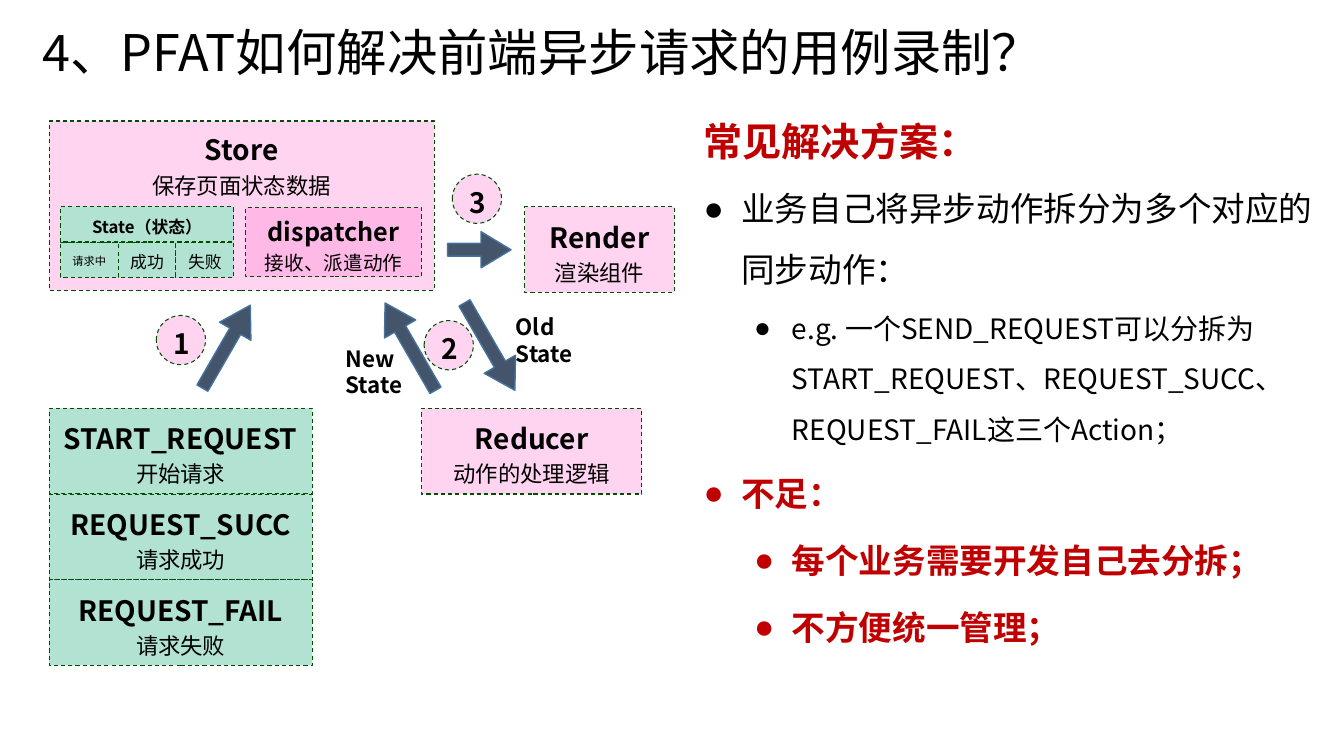
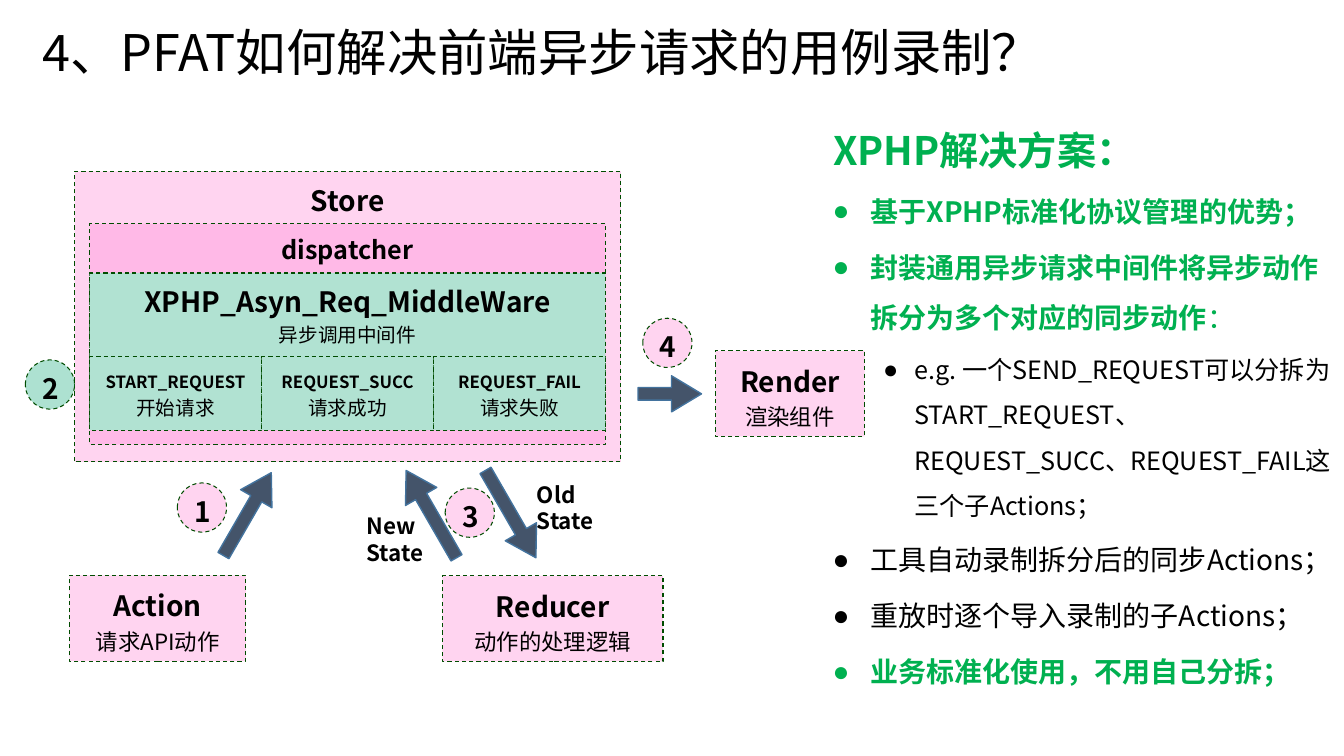
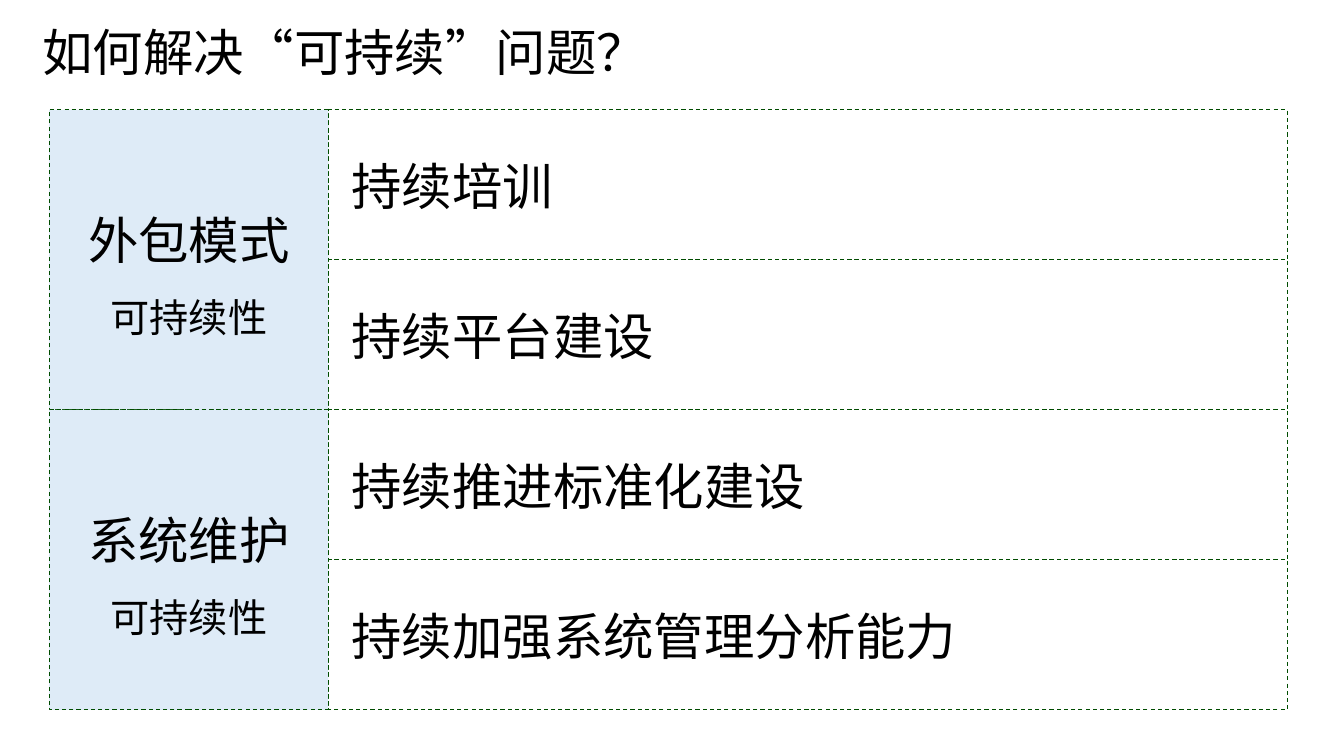
import pptx
import pptx.util
import pptx.dml.color
import pptx.enum.dml
import pptx.enum.shapes
import pptx.enum.text
import pptx.oxml
import pptx.oxml.ns

Cm, Pt = pptx.util.Cm, pptx.util.Pt
KIND = pptx.enum.shapes.MSO_SHAPE
ALIGN = pptx.enum.text.PP_ALIGN
ANCHOR = pptx.enum.text.MSO_ANCHOR
FIT = pptx.enum.text.MSO_AUTO_SIZE

# Shared look
FONT = "Noto Sans CJK SC"
BLACK, RED, LEAF, WHITE = "000000", "C00000", "00B050", "FFFFFF"
PINK, MINT, TEAL, SKY = "FF8AD8", "B1E2D2", "1EAD82", "DEEBF7"
EDGE, SLATE, NAVY = "004C00", "44546A", "43739E"
DOT, ROW = 1.24, 2.16          # circle size, height of a two-line box

# Content: text lines are (text, size, bold)
ASYNC = "4、PFAT如何解决前端异步请求的用例录制？"
LAST = "如何解决“可持续”问题？"
CALLS = [("START_REQUEST", "开始请求"), ("REQUEST_SUCC", "请求成功"),
         ("REQUEST_FAIL", "请求失败")]
STATES = [("请求中", 8), ("成功", 12), ("失败", 12)]

# Lists: (level, size, colour, bold, text, plain ending)
USUAL = [
    (0, 24, BLACK, False, "业务自己将异步动作拆分为多个对应的同步动作：", ""),
    (1, 20, BLACK, False, "e.g. 一个SEND_REQUEST可以分拆为START_REQUEST、"
     "REQUEST_SUCC、REQUEST_FAIL这三个Action；", ""),
    (0, 24, RED, True, "不足：", ""),
    (1, 24, RED, True, "每个业务需要开发自己去分拆；", ""),
    (1, 24, RED, True, "不方便统一管理；", ""),
]
BETTER = [
    (0, 20, LEAF, True, "基于XPHP标准化协议管理的优势；", ""),
    (0, 20, LEAF, True, "封装通用异步请求中间件将异步动作拆分为多个对应的同步动作", "："),
    (1, 18, BLACK, False, "e.g. 一个SEND_REQUEST可以分拆为START_REQUEST、"
     "REQUEST_SUCC、REQUEST_FAIL这三个子Actions；", ""),
    (0, 20, BLACK, False, "工具自动录制拆分后的同步Actions；", ""),
    (0, 20, BLACK, False, "重放时逐个导入录制的子Actions；", ""),
    (0, 20, LEAF, True, "业务标准化使用，不用自己分拆；", ""),
]
THEMES = [
    ("外包模式", ["持续培训", "持续平台建设"]),
    ("系统维护", ["持续推进标准化建设", "持续加强系统管理分析能力"]),
]


def rgb(code):
    return pptx.dml.color.RGBColor.from_string(code)


def node(parent, tag, **attrs):
    item = pptx.oxml.ns.qn(tag)
    item = parent.makeelement(item, attrs)
    parent.append(item)
    return item


def style(run, size, bold=False, color=BLACK):
    font = run.font
    font.size, font.bold, font.name = Pt(size), bold, FONT
    font.color.rgb = rgb(color)
    node(run.font._element, "a:ea", typeface=FONT)


def write(frame, lines, align=ALIGN.LEFT, space=None, color=BLACK):
    frame.text = "\n".join(line[0] for line in lines)
    for para, (_, size, bold) in zip(frame.paragraphs, lines):
        para.alignment = align
        if space:
            para.line_spacing = space
        style(para.runs[0], size, bold, color)


def place(item, left, top, width, height):
    item.left, item.top = Cm(left), Cm(top)
    item.width, item.height = Cm(width), Cm(height)


def paint(shape, fill, line, alpha=None):
    shape.shadow.inherit = False
    shape.fill.solid()
    shape.fill.fore_color.rgb = rgb(fill)
    if alpha:
        tint = shape.fill._xPr.find(".//" + pptx.oxml.ns.qn("a:srgbClr"))
        node(tint, "a:alpha", val=str(alpha * 1000))
    shape.line.color.rgb = rgb(line)


def box(slide, area, lines, fill=PINK, alpha=None, anchor=ANCHOR.MIDDLE,
        kind=KIND.RECTANGLE, space=1.2, align=ALIGN.CENTER):
    shape = slide.shapes.add_shape(kind, *map(Cm, area))
    if fill in (PINK, TEAL):
        alpha = 36
    paint(shape, fill, EDGE, alpha)
    shape.line.width = Pt(0.75)
    shape.line.dash_style = pptx.enum.dml.MSO_LINE.DASH
    shape.text_frame.word_wrap = True
    shape.text_frame.vertical_anchor = anchor
    write(shape.text_frame, lines, align, space)
    return shape


def pair(name, note, big=20, small=16):
    return [(name, big, True), (note, small, False)]


def step(slide, left, top, number, fill=PINK):
    box(slide, (left, top, DOT, DOT), [(number, 20, True)], fill,
        kind=KIND.OVAL)


def arrow(slide, left, top, width, turn=0):
    shape = slide.shapes.add_shape(KIND.RIGHT_ARROW, Cm(left), Cm(top),
                                   Cm(width), Cm(0.91))
    shape.adjustments[0], shape.adjustments[1] = 0.35, 0.83
    shape.rotation = turn
    paint(shape, SLATE, NAVY)
    shape.line.width = Pt(1)


def label(slide, area, lines, color=BLACK, wrap=False):
    frame = slide.shapes.add_textbox(*map(Cm, area)).text_frame
    frame.word_wrap = wrap
    write(frame, lines, color=color)


# Parts that both flow diagrams use
def flow(slide, right, down, number):
    box(slide, (10.62 + right, 10.29 + down, 5.56, ROW),
        pair("Reducer", "动作的处理逻辑"))
    for left, width, turn in [(4.5, 2.41, 300), (9.07, 2.54, 240),
                              (11.07, 2.54, 60)]:
        arrow(slide, left + right, 8.28 + down, width, turn)
    for word, left, top in [("Old", 12.75, 7.77), ("New", 8.46, 8.56)]:
        label(slide, (left + right, top + down, 1.98, 1.63),
              [(word, 16, True), ("State", 16, True)])
    step(slide, 3.94 + right, 7.95 + down, "1")
    step(slide, 10.69 + right, 8.08 + down, number)


def render(slide, right, down, number):
    box(slide, (13.23 + right, 5.21 + down, 3.76, ROW),
        pair("Render", "渲染组件"))
    arrow(slide, 11.28 + right, 5.84 + down, 1.6)
    step(slide, 11.4 + right, 4.39 + down, number)


def start(deck, layout, title):
    slide = deck.slides.add_slide(deck.slide_layouts[layout])
    head = slide.shapes.title
    place(head, 0.81, 0.41, 32.33, 1.8)
    head.text_frame.vertical_anchor = ANCHOR.TOP
    head.text_frame.auto_size = FIT.NONE
    write(head.text_frame, [(title, 36, False)])
    return slide


def bullets(slide, area, items, inner, hang):
    body = slide.placeholders[1]
    place(body, *area)
    frame = body.text_frame
    frame.auto_size = FIT.NONE
    for rank, (level, size, color, bold, text, tail) in enumerate(items):
        para = frame.add_paragraph() if rank else frame.paragraphs[0]
        para.level, para.line_spacing = level, 1.5
        if not rank:
            para.space_before = Pt(0)
        prop = para._p.get_or_add_pPr()
        prop.set("marL", str(Cm(inner if level else 0.95)))
        prop.set("indent", str(-Cm(hang if level else 0.95)))
        node(prop, "a:buChar", char="●")
        for part, heavy in [(text, bold), (tail, False)]:
            if part:
                run = para.add_run()
                run.text = part
                style(run, size, heavy, color)


def usual(deck):
    slide = start(deck, 1, ASYNC)
    bullets(slide, (17.48, 4.11, 16.3, 13.89), USUAL, 2.22, 0.95)
    label(slide, (17.48, 2.84, 7.49, 1.45), [("常见解决方案：", 28, True)], RED)
    # Store with its states and dispatcher
    box(slide, (1.24, 3.05, 9.7, 4.27), pair("Store", "保存页面状态数据"),
        anchor=ANCHOR.TOP)
    box(slide, (6.2, 5.23, 4.42, 1.75),
        pair("dispatcher", "接收、派遣动作", 18, 14))
    left, wide, high = 1.52, 4.37, 0.89
    cell = wide / len(STATES)
    for col, (name, size) in enumerate(STATES):
        box(slide, (left + col * cell, 5.21 + high, cell, high),
            [(name, size, False)], MINT)
    box(slide, (left, 5.21, wide, high), [("State（状态）", 12, True)], MINT)
    # Requests
    for row, call in enumerate(CALLS):
        box(slide, (1.24, 10.29 + row * ROW, 6.63, ROW), pair(*call), MINT)
    flow(slide, 0, 0, "2")
    render(slide, 0, 0, "3")


def better(deck):
    slide = start(deck, 1, ASYNC)
    bullets(slide, (20.73, 4.34, 13.1, 12.37), BETTER, 2.06, 0.79)
    label(slide, (20.75, 3.05, 10.16, 1.45), [("XPHP解决方案：", 28, True)],
          LEAF, True)
    box(slide, (1.75, 14.5, 4.45, ROW), pair("Action", "请求API动作"))
    flow(slide, 0.53, 4.22, "3")
    render(slide, 4.8, 3.63, "4")
    # Store, dispatcher and middleware, one inside the other
    left, wide = 2.26, 13
    box(slide, (1.88, 4.32, 13.77, 7.32), [("Store", 20, True)],
        anchor=ANCHOR.TOP)
    step(slide, 0.64, 9.07, "2", TEAL)
    box(slide, (left, 5.64, wide, 5.56), [("dispatcher", 18, True)],
        anchor=ANCHOR.TOP)
    box(slide, (left, 6.88, wide, 3.89),
        pair("XPHP_Asyn_Req_MiddleWare", "异步调用中间件", 20, 14), MINT,
        anchor=ANCHOR.TOP)
    cell = wide / len(CALLS)
    for col, call in enumerate(CALLS):
        box(slide, (left + col * cell, 8.99, cell, 1.85),
            pair(*call, 12, 14), MINT)


def lasting(deck):
    slide = start(deck, 5, LAST)
    left, top, side, wide, high = 1.24, 2.77, 7.04, 24.16, 3.78
    for name, goals in THEMES:
        box(slide, (left, top, side, high * len(goals)),
            [(name, 36, False), ("可持续性", 28, False)], SKY, space=1.5)
        for goal in goals:
            cell = box(slide, (left + side, top, wide, high),
                       [(goal, 36, False)], WHITE, 35, space=None,
                       align=ALIGN.LEFT)
            cell.text_frame.margin_left = Cm(0.58)
            top += high


def main():
    deck = pptx.Presentation()
    deck.slide_width, deck.slide_height = Cm(33.87), Cm(19.05)
    usual(deck)
    better(deck)
    lasting(deck)
    deck.save("out.pptx")


if __name__ == "__main__":
    main()
